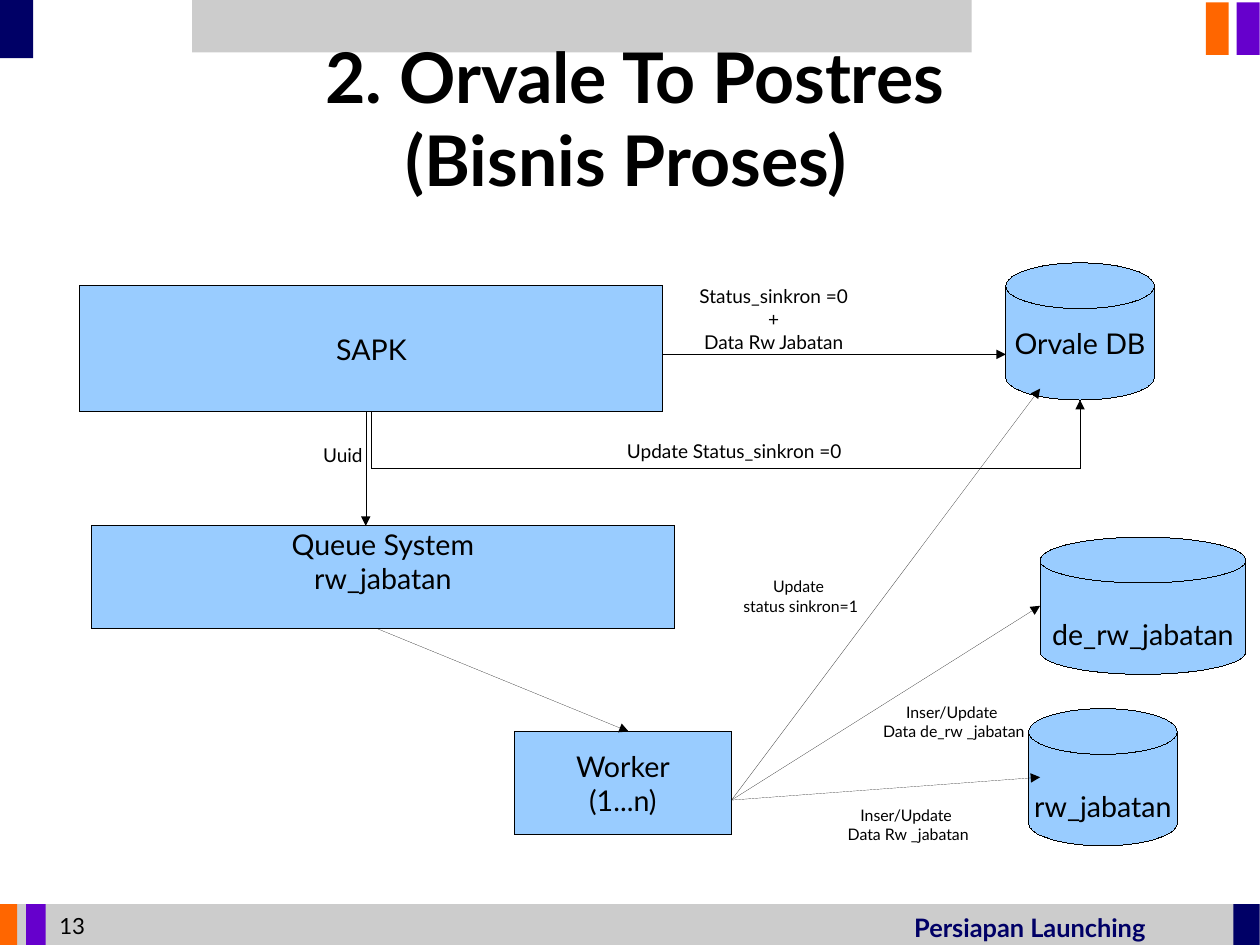
"""Build the business process slide with its boxes, stores, arrows and labels."""
from lxml import etree
from pptx import Presentation
from pptx.dml.color import RGBColor
from pptx.enum.shapes import MSO_CONNECTOR, MSO_SHAPE
from pptx.enum.text import MSO_ANCHOR, PP_ALIGN
from pptx.oxml.ns import qn
from pptx.util import Cm, Emu, Pt

RECT, DISK = MSO_SHAPE.RECTANGLE, MSO_SHAPE.FLOWCHART_MAGNETIC_DISK
LINE, ELBOW = MSO_CONNECTOR.STRAIGHT, MSO_CONNECTOR.ELBOW
LEFT, CENTER = PP_ALIGN.LEFT, PP_ALIGN.CENTER
TOP, MIDDLE = MSO_ANCHOR.TOP, MSO_ANCHOR.MIDDLE

BLACK = RGBColor(0x00, 0x00, 0x00)
GRAY = RGBColor(0xCC, 0xCC, 0xCC)
NAVY = RGBColor(0x00, 0x00, 0x66)
PURPLE = RGBColor(0x66, 0x00, 0xCC)
ORANGE = RGBColor(0xFF, 0x66, 0x00)
SKY = RGBColor(0x99, 0xCC, 0xFF)

FONT = "Lato"
SCALE = 9144
WIDE, HIGH = Cm(28), Cm(21)

BARS = [
    ((168, 0, 682, 46), GRAY),
    ((1082, 2, 20, 46), PURPLE),
    ((1055, 2, 20, 46), ORANGE),
    ((0, 791, 1102, 36), GRAY),
    ((0, 791, 15, 36), ORANGE),
    ((23, 791, 17, 36), PURPLE),
    ((0, 0, 29, 51), NAVY),
    ((1079, 791, 23, 36), NAVY),
]

TITLE = ["2. Orvale To Postres", "(Bisnis Proses) "]
FOOTER = ["Persiapan Launching"]
PAGE = ["13"]

NODES = [
    (RECT, (70, 250, 510, 110), ["SAPK"], (5, 5)),
    (DISK, (880, 230, 130, 120), ["Orvale DB"], (5, 5)),
    (RECT, (80, 460, 510, 90), ["Queue System", "rw_jabatan"], (1, 29)),
    (DISK, (910, 470, 180, 120), ["de_rw_jabatan"], (30, 0)),
    (DISK, (900, 620, 130, 120), ["rw_jabatan"], (30, 0)),
    (RECT, (450, 640, 190, 90), ["Worker", "(1...n)"], (5, 5)),
]

HUB = (640, 700)
ARROWS = [
    ((580, 310), (880, 310)),
    ((320, 360), (320, 460)),
    ((330, 550), (550, 640)),
    (HUB, (910, 530)),
    (HUB, (910, 680)),
    (HUB, (910, 340)),
]
BEND = ((325, 360), (945, 350), 410)

LABELS = [
    ((600, 244, 154, 70), 12, ["Status_sinkron =0", "+", "Data Rw Jabatan"]),
    ((536, 380, 213, 30), 12, ["Update Status_sinkron =0"]),
    ((260, 383, 80, 47), 12, ["Uuid"]),
    ((640, 500, 121, 43), 10, ["Update ", "status sinkron=1"]),
    ((730, 700, 129, 43), 10, ["Inser/Update ", "Data Rw _jabatan"]),
    ((761, 610, 147, 43), 10, ["Inser/Update ", "Data de_rw _jabatan"]),
]


def px(*nums):
    """Turn px into EMU."""
    return [Emu(round(num * SCALE)) for num in nums]


def write(shape, lines, size, color=BLACK, bold=False, align=CENTER,
          anchor=TOP, pads=(10, 5, 10, 5)):
    """Fill a shape with lines of text."""
    frame = shape.text_frame
    left, top, right, foot = px(*pads)
    look = {"word_wrap": align == LEFT, "vertical_anchor": anchor,
            "margin_left": left, "margin_top": top,
            "margin_right": right, "margin_bottom": foot}
    for name, value in look.items():
        setattr(frame, name, value)
    for index, line in enumerate(lines):
        para = frame.add_paragraph() if index else frame.paragraphs[0]
        para.alignment = align
        run = para.add_run()
        run.text = line
        style = {"name": FONT, "size": Pt(size), "bold": bold}
        for name, value in style.items():
            setattr(run.font, name, value)
        run.font.color.rgb = color


def block(shapes, form, place, color):
    """Add a flat filled shape."""
    shape = shapes.add_shape(form, *px(*place))
    shape.shadow.inherit = False
    shape.fill.solid()
    shape.fill.fore_color.rgb = color
    shape.line.fill.background()
    return shape


def edge(shape):
    """Give a shape a black hairline and return its line element."""
    shape.line.color.rgb = BLACK
    line = shape._element.spPr.find(qn("a:ln"))
    line.set("w", "0")
    return line


def arrow(shapes, kind, start, end):
    """Add a connector with a head at its end."""
    link = shapes.add_connector(kind, *px(*start, *end))
    etree.SubElement(edge(link), qn("a:tailEnd"), type="triangle")
    etree.SubElement(link._element.spPr, qn("a:effectLst"))
    return link


def bend(shapes, start, end, low):
    """Add an elbow that drops to a low level and rises again."""
    (x1, y1), (x2, y2) = start, end
    midx, midy = (x1 + x2) / 2, (y1 + y2) / 2
    halfw, halfh = (y1 - y2) / 2, (x2 - x1) / 2
    link = arrow(shapes, ELBOW, (midx + halfw, midy + halfh),
                 (midx - halfw, midy - halfh))
    props = link._element.spPr
    props.find(qn("a:xfrm")).set("rot", str(90 * 60000))
    ratio = round((low - y1) / (y2 - y1) * 100000)
    guides = props.find(qn("a:prstGeom")).get_or_add_avLst()
    etree.SubElement(guides, qn("a:gd"), name="adj1", fmla=f"val {ratio}")


def main():
    """Draw the slide and save it."""
    deck = Presentation()
    deck.slide_width, deck.slide_height = WIDE, HIGH
    shapes = deck.slides.add_slide(deck.slide_layouts[6]).shapes

    for place, color in BARS:
        block(shapes, RECT, place, color)
    write(shapes.add_textbox(*px(790, 793, 291, 36)), FOOTER, 16, NAVY, True, LEFT)
    write(shapes.add_textbox(*px(42, 793, 109, 33)), PAGE, 14, align=LEFT)
    write(shapes.add_textbox(*px(51, 29, 1009, 147)), TITLE, 44, bold=True,
          anchor=MIDDLE, pads=(0, 0, 0, 0))

    for form, place, lines, (top, foot) in NODES:
        node = block(shapes, form, place, SKY)
        edge(node)
        write(node, lines, 18, anchor=MIDDLE, pads=(10, top, 10, foot))
    for start, end in ARROWS:
        arrow(shapes, LINE, start, end)
    bend(shapes, *BEND)
    for place, size, lines in LABELS:
        write(shapes.add_textbox(*px(*place)), lines, size)

    deck.save("out.pptx")


if __name__ == "__main__":
    main()
